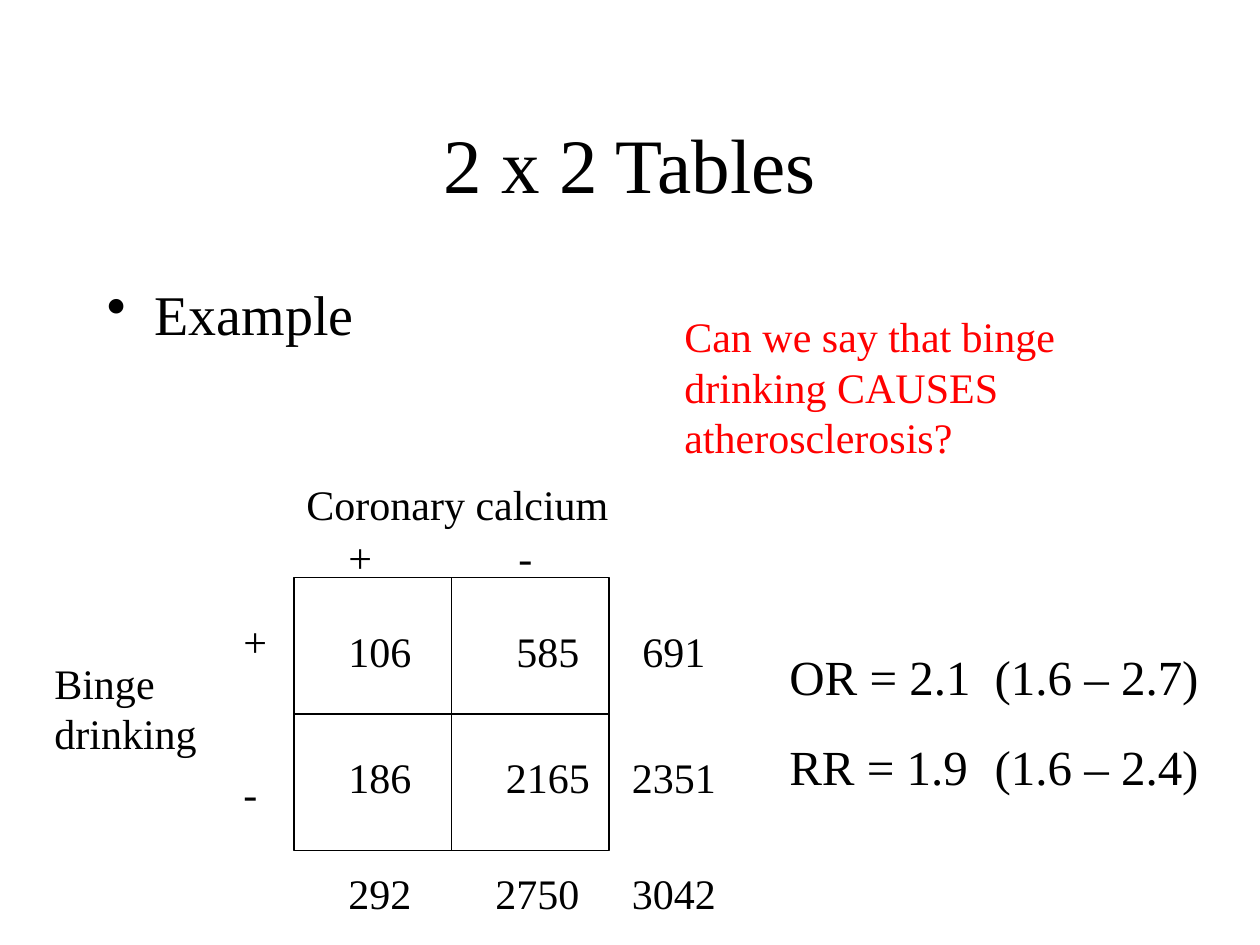
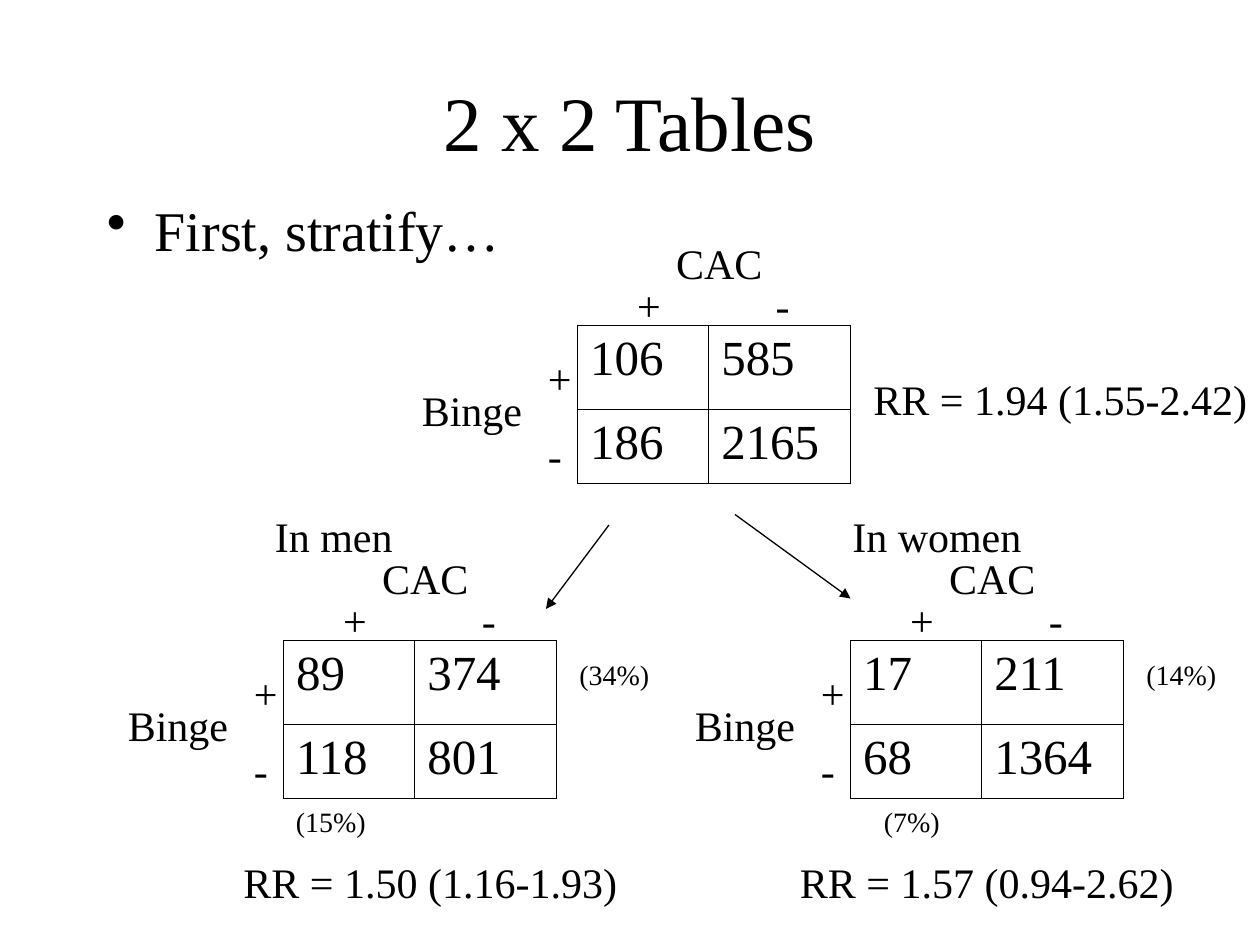
from dataclasses import dataclass

from lxml import etree
from pptx import Presentation
from pptx.dml.color import RGBColor
from pptx.enum.shapes import MSO_CONNECTOR, MSO_SHAPE
from pptx.enum.text import MSO_ANCHOR, MSO_AUTO_SIZE, PP_ALIGN
from pptx.oxml.ns import qn
from pptx.util import Inches, Pt

STRAIGHT = MSO_CONNECTOR.STRAIGHT
RECTANGLE = MSO_SHAPE.RECTANGLE
MIDDLE = MSO_ANCHOR.MIDDLE
GROW = MSO_AUTO_SIZE.SHAPE_TO_FIT_TEXT
LEFT, CENTER = PP_ALIGN.LEFT, PP_ALIGN.CENTER

WIDTH, HEIGHT = Inches(10), Inches(7.5)
COLUMNS, ROWS = 120, 90
TITLE_ONLY = 5
LINE_ROWS = 6


@dataclass(frozen=True)
class Theme:
    """Colours, font, type sizes and line widths of the deck."""
    font: str = "Times New Roman"
    ink: str = "000000"
    question: str = "FF0000"
    title: int = 44
    bullet: int = 32
    result: int = 28
    label: int = 24
    percent: int = 16
    rule: float = 0.75
    cell_rule: float = 0.45


THEME = Theme()


def grid(left, top, width=0, height=0):
    """Turn grid columns and rows into slide lengths."""
    return (int(WIDTH * left / COLUMNS), int(HEIGHT * top / ROWS),
            int(WIDTH * width / COLUMNS), int(HEIGHT * height / ROWS))


def format_paragraph(paragraph, size, color=THEME.ink, align=LEFT):
    """Apply alignment, font, size and colour to a paragraph."""
    paragraph.alignment = align
    for run in paragraph.runs:
        run.font.name = THEME.font
        run.font.size = Pt(size)
        run.font.color.rgb = RGBColor.from_string(color)


def add_tab_stop(paragraph, position):
    """Give a paragraph one left tab stop, in inches."""
    stops = etree.SubElement(paragraph._p.get_or_add_pPr(), qn("a:tabLst"))
    etree.SubElement(stops, qn("a:tab"), pos=str(Inches(position)), algn="l")


def add_text(slide, box, words, size=THEME.label, color=THEME.ink,
             align=LEFT, gap=0, tab=None):
    """Place wrapped text in a grid box and return its text frame."""
    frame = slide.shapes.add_textbox(*grid(*box)).text_frame
    frame.word_wrap = True
    frame.auto_size = GROW
    frame.text = words
    for index, paragraph in enumerate(frame.paragraphs):
        format_paragraph(paragraph, size, color, align)
        if index:
            paragraph.space_before = Pt(gap)
        if tab:
            add_tab_stop(paragraph, tab)
    return frame


def add_rule(slide, start, end, arrow=False):
    """Draw a thin line between two grid points."""
    rule = slide.shapes.add_connector(STRAIGHT, *grid(*start)[:2], *grid(*end)[:2])
    rule.line.color.rgb = RGBColor.from_string(THEME.ink)
    rule.line.width = Pt(THEME.rule)
    if arrow:
        etree.SubElement(rule.line._get_or_add_ln(), qn("a:tailEnd"), type="triangle")
    etree.SubElement(rule._element.spPr, qn("a:effectLst"))


def add_headed_slide(deck, bullet, title_top, bullet_top):
    """Start a slide with the shared title and one bullet."""
    slide = deck.slides.add_slide(deck.slide_layouts[TITLE_ONLY])
    title = slide.shapes.title
    title.left, title.top, title.width, title.height = grid(9, title_top, 102, 15)
    title.text_frame.text = "2 x 2 Tables"
    title.text_frame.vertical_anchor = MIDDLE
    format_paragraph(title.text_frame.paragraphs[0], THEME.title, align=CENTER)

    topic = add_text(slide, (9, bullet_top, 102, 8), bullet, THEME.bullet)
    properties = topic.paragraphs[0]._p.get_or_add_pPr()
    properties.set("marL", str(Inches(0.38)))
    properties.set("indent", str(-Inches(0.38)))
    etree.SubElement(properties, qn("a:buChar"), char="•")
    return slide


def add_matrix(slide, left, top, width, height):
    """Draw the ruled 2 x 2 box with its counts, totals and labels."""
    box = slide.shapes.add_shape(RECTANGLE, *grid(left, top, width, height))
    box.shadow.inherit = False
    box.fill.background()
    box.line.color.rgb = RGBColor.from_string(THEME.ink)
    box.line.width = Pt(THEME.rule)
    center, middle = left + width / 2, top + height / 2
    add_rule(slide, (center, top), (center, top + height))
    add_rule(slide, (left, middle), (left + width, middle))

    add_text(slide, (left, top - 10, 33, LINE_ROWS), "Coronary calcium")
    add_text(slide, (left + 4, top - 5, 24, LINE_ROWS), "+\t-", tab=1.35)
    add_text(slide, (left - 24, top + 7, 18, 11), "Binge\vdrinking")
    add_text(slide, (left - 6, top + 3, 9, 21), "+\n-", gap=58)

    count_rows = (
        (4, ((4, "106"), (20, "585"), (32, "691"))),
        (16, ((4, "186"), (19, "2165"), (31, "2351"))),
        (27, ((4, "292"), (18, "2750"), (31, "3042"))),
    )
    for down, counts in count_rows:
        for across, count in counts:
            add_text(slide, (left + across, top + down, 11, LINE_ROWS), count)


def border_cell(cell):
    """Give a clear table cell thin borders on all sides."""
    properties = cell._tc.get_or_add_tcPr()
    for side in ("a:lnL", "a:lnR", "a:lnT", "a:lnB"):
        edge = etree.SubElement(properties, qn(side), w=str(Pt(THEME.cell_rule)))
        fill = etree.SubElement(edge, qn("a:solidFill"))
        etree.SubElement(fill, qn("a:srgbClr"), val=THEME.ink)
    cell.fill.background()


def add_stratum(slide, left, top, counts):
    """Place a labelled table of counts with its corner at a grid point."""
    table = slide.shapes.add_table(2, 2, *grid(left, top, 26, 15)).table
    table.first_row = table.horz_banding = False
    for column, share in zip(table.columns, (12.5, 13.5)):
        column.width = int(WIDTH * share / COLUMNS)
    for row, share, values in zip(table.rows, (8, 7), counts):
        row.height = int(HEIGHT * share / ROWS)
        for cell, value in zip(row.cells, values):
            cell.text_frame.text = value
            format_paragraph(cell.text_frame.paragraphs[0], THEME.result)
            border_cell(cell)

    add_text(slide, (left + 2, top - 9, 23, LINE_ROWS), "CAC", align=CENTER)
    add_text(slide, (left + 4.5, top - 5, 21, LINE_ROWS), "+\t-", tab=1.1)
    add_text(slide, (left - 16, top + 5, 13, LINE_ROWS), "Binge")
    add_text(slide, (left - 4, top + 2, 7, 13), "+\n-", gap=15)


def add_group(slide, left, top, group, counts, row_share, column_share, ratio, shifts):
    """Place the table of one sex with its heading, percentages and risk ratio."""
    add_stratum(slide, left, top, counts)
    heading, share, risk = shifts
    add_text(slide, (left + heading, top - 13, 23, LINE_ROWS), group)
    add_text(slide, (left + 27, top + 1, 10, 4), row_share, THEME.percent)
    add_text(slide, (left + share, top + 15, 10, 4), column_share, THEME.percent)
    add_text(slide, (left + risk, top + 20, 40, LINE_ROWS), ratio)


def build_example(deck):
    """Build the slide with the worked example."""
    slide = add_headed_slide(deck, "Example", 8, 26)
    add_matrix(slide, 28, 55, 30, 26)
    add_text(slide, (74, 61, 42, 15), "OR = 2.1\t(1.6 – 2.7)\nRR = 1.9\t(1.6 – 2.4)",
             THEME.result, gap=17.5, tab=1.63)
    add_text(slide, (64, 29, 48, 16),
             "Can we say that binge drinking CAUSES atherosclerosis?",
             color=THEME.question)


def build_stratified(deck):
    """Build the slide that splits the table by sex."""
    slide = add_headed_slide(deck, "First, stratify…", 4, 18)
    add_stratum(slide, 55, 31, (("106", "585"), ("186", "2165")))
    add_text(slide, (82, 35, 38, LINE_ROWS), "RR = 1.94 (1.55-2.42)")
    add_group(slide, 27, 61, "In men", (("89", "374"), ("118", "801")),
              "(34%)", "(15%)", "RR = 1.50 (1.16-1.93)", (-2, 0, -5))
    add_group(slide, 81, 61, "In women", (("17", "211"), ("68", "1364")),
              "(14%)", "(7%)", "RR = 1.57 (0.94-2.62)", (-1, 2, -6))
    add_rule(slide, (58, 50), (52, 58), arrow=True)
    add_rule(slide, (70, 49), (81, 57), arrow=True)


def main():
    """Build and save the deck."""
    deck = Presentation()
    deck.slide_width, deck.slide_height = WIDTH, HEIGHT
    build_example(deck)
    build_stratified(deck)
    deck.save("out.pptx")


if __name__ == "__main__":
    main()
